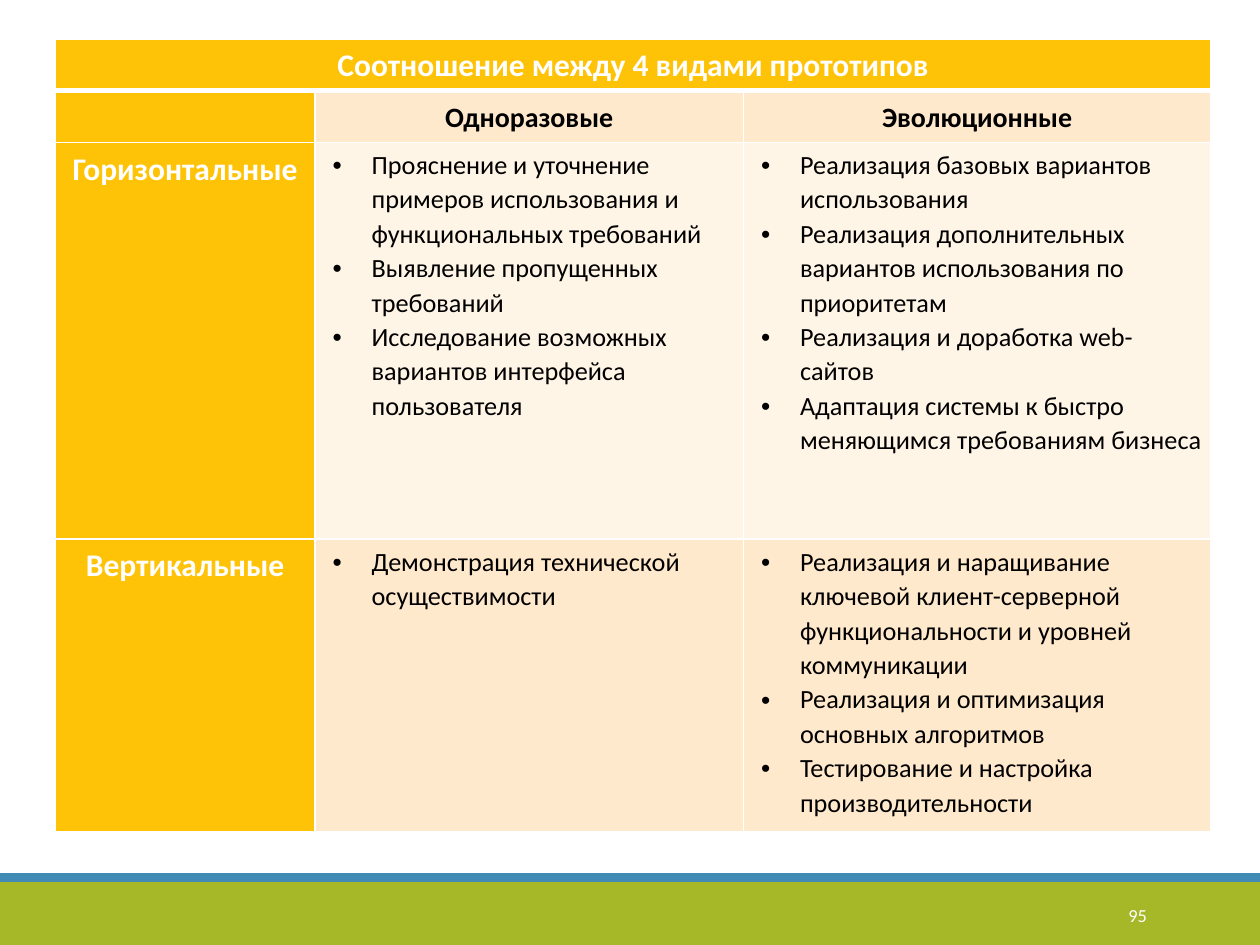
from dataclasses import dataclass

from lxml import etree
from pptx import Presentation
from pptx import util as u
from pptx.dml.color import RGBColor
from pptx.enum import shapes, text
from pptx.oxml import ns

WIDTH, HEIGHT = 10, 7.5
FONT = "Calibri"
COLORS = {
    "white": "FFFFFF",
    "black": "000000",
    "gold": "FEC306",
    "peach": "FFE9CC",
    "cream": "FFF5E7",
    "green": "A6B727",
    "blue": "418AB3",
}
COLUMNS = (2.06, 3.4, 3.71)
ROWS = (0.41, 0.41, 3.15, 2.32)
TABLE_LEFT, TABLE_TOP = 0.44, 0.31


@dataclass(frozen=True)
class Style:
    size: float
    color: str
    bold: bool = False
    bulleted: bool = False
    middle: bool = False


@dataclass(frozen=True)
class Entry:
    row: int
    column: int
    fill: str
    style: Style
    lines: tuple[str, ...] = ()


@dataclass(frozen=True)
class Band:
    top: float
    height: float
    color: str


TITLE = Style(18, "white", bold=True, middle=True)
COLUMN_HEAD = Style(16, "black", bold=True, middle=True)
ROW_HEAD = Style(18, "white", bold=True)
BODY = Style(15, "black", bulleted=True)

BANDS = (Band(7, 0.5, "green"), Band(6.93, 0.07, "blue"))
ENTRIES = (
    Entry(0, 0, "gold", TITLE, ("Соотношение между 4 видами прототипов",)),
    Entry(1, 0, "gold", COLUMN_HEAD),
    Entry(1, 1, "peach", COLUMN_HEAD, ("Одноразовые",)),
    Entry(1, 2, "peach", COLUMN_HEAD, ("Эволюционные",)),
    Entry(2, 0, "gold", ROW_HEAD, ("Горизонтальные",)),
    Entry(2, 1, "cream", BODY, (
        "Прояснение и уточнение примеров использования и функциональных требований",
        "Выявление пропущенных требований",
        "Исследование возможных вариантов интерфейса пользователя",
    )),
    Entry(2, 2, "cream", BODY, (
        "Реализация базовых вариантов использования",
        "Реализация дополнительных вариантов использования по приоритетам",
        "Реализация и доработка web-сайтов",
        "Адаптация системы к быстро меняющимся требованиям бизнеса",
    )),
    Entry(3, 0, "gold", ROW_HEAD, ("Вертикальные",)),
    Entry(3, 1, "peach", BODY, ("Демонстрация технической осуществимости",)),
    Entry(3, 2, "peach", BODY, (
        "Реализация и наращивание ключевой клиент-серверной функциональности и уровней коммуникации",
        "Реализация и оптимизация основных алгоритмов",
        "Тестирование и настройка производительности",
    )),
)


def color(name: str) -> RGBColor:
    return RGBColor.from_string(COLORS[name])


def add_run(paragraph, content: str, style: Style) -> None:
    run = paragraph.add_run()
    run.text = content
    run.font.name = FONT
    run.font.size = u.Pt(style.size)
    run.font.bold = style.bold
    run.font.color.rgb = color(style.color)


def add_bullet(paragraph) -> None:
    properties = paragraph._p.get_or_add_pPr()
    properties.set("marL", str(u.Inches(0.38)))
    properties.set("indent", str(u.Inches(-0.31)))
    etree.SubElement(properties, ns.qn("a:buFont"), typeface="Arial")
    etree.SubElement(properties, ns.qn("a:buChar"), char="•")
    tabs = etree.SubElement(properties, ns.qn("a:tabLst"))
    etree.SubElement(tabs, ns.qn("a:tab"), pos=str(u.Inches(0.5)), algn="l")


def set_borders(cell, bottom: float = 1, top: float = 1) -> None:
    properties = cell._tc.get_or_add_tcPr()
    sides = (("L", 1), ("R", 1), ("T", top), ("B", bottom))
    for position, (side, points) in enumerate(sides):
        line = etree.Element(ns.qn(f"a:ln{side}"), w=str(u.Pt(points)))
        fill = etree.SubElement(line, ns.qn("a:solidFill"))
        etree.SubElement(fill, ns.qn("a:srgbClr"), val=COLORS["white"])
        properties.insert(position, line)


def fill_cell(cell, entry: Entry) -> None:
    style = entry.style
    cell.fill.solid()
    cell.fill.fore_color.rgb = color(entry.fill)
    cell.margin_left = cell.margin_right = u.Inches(0.07)
    cell.margin_top = cell.margin_bottom = u.Inches(0.04)
    anchor = text.MSO_ANCHOR
    cell.vertical_anchor = anchor.MIDDLE if style.middle else anchor.TOP
    frame = cell.text_frame
    frame.paragraphs[0].font.size = u.Pt(style.size)
    for index, content in enumerate(entry.lines):
        paragraph = frame.add_paragraph() if index else frame.paragraphs[0]
        paragraph.line_spacing = 1.07
        if style.bulleted:
            properties = paragraph._p.get_or_add_pPr()
            for default in properties.findall(ns.qn("a:defRPr")):
                properties.remove(default)
            add_bullet(paragraph)
        else:
            paragraph.alignment = text.PP_ALIGN.CENTER
        add_run(paragraph, content, style)


def add_band(slide, band: Band) -> None:
    shape = slide.shapes.add_shape(
        shapes.MSO_SHAPE.RECTANGLE, 0, u.Inches(band.top),
        u.Inches(WIDTH), u.Inches(band.height))
    shape.shadow.inherit = False
    shape.fill.solid()
    shape.fill.fore_color.rgb = color(band.color)
    shape.line.fill.background()


def add_prototype_table(slide) -> None:
    table = slide.shapes.add_table(
        len(ROWS), len(COLUMNS), u.Inches(TABLE_LEFT), u.Inches(TABLE_TOP),
        u.Inches(sum(COLUMNS)), u.Inches(sum(ROWS))).table
    table.first_row = table.horz_banding = False
    for column, width in zip(table.columns, COLUMNS):
        column.width = u.Inches(width)
    for row, height in zip(table.rows, ROWS):
        row.height = u.Inches(height)
    table.cell(0, 0).merge(table.cell(0, len(COLUMNS) - 1))
    for entry in ENTRIES:
        fill_cell(table.cell(entry.row, entry.column), entry)
    for row in range(len(ROWS)):
        for column in range(len(COLUMNS)):
            set_borders(table.cell(row, column),
                        bottom=3 if row == 0 else 1, top=3 if row == 1 else 1)


def add_page_number(slide, number: str) -> None:
    box = slide.shapes.add_textbox(
        u.Inches(8.12), u.Inches(7.06), u.Inches(1.08), u.Inches(0.4))
    frame = box.text_frame
    frame.word_wrap = True
    frame.vertical_anchor = text.MSO_ANCHOR.MIDDLE
    paragraph = frame.paragraphs[0]
    paragraph.alignment = text.PP_ALIGN.RIGHT
    add_run(paragraph, number, Style(10.5, "white"))


def main() -> None:
    presentation = Presentation()
    presentation.slide_width = u.Inches(WIDTH)
    presentation.slide_height = u.Inches(HEIGHT)
    slide = presentation.slides.add_slide(presentation.slide_layouts[6])
    for band in BANDS:
        add_band(slide, band)
    add_prototype_table(slide)
    add_page_number(slide, "95")
    presentation.save("out.pptx")


if __name__ == "__main__":
    main()
